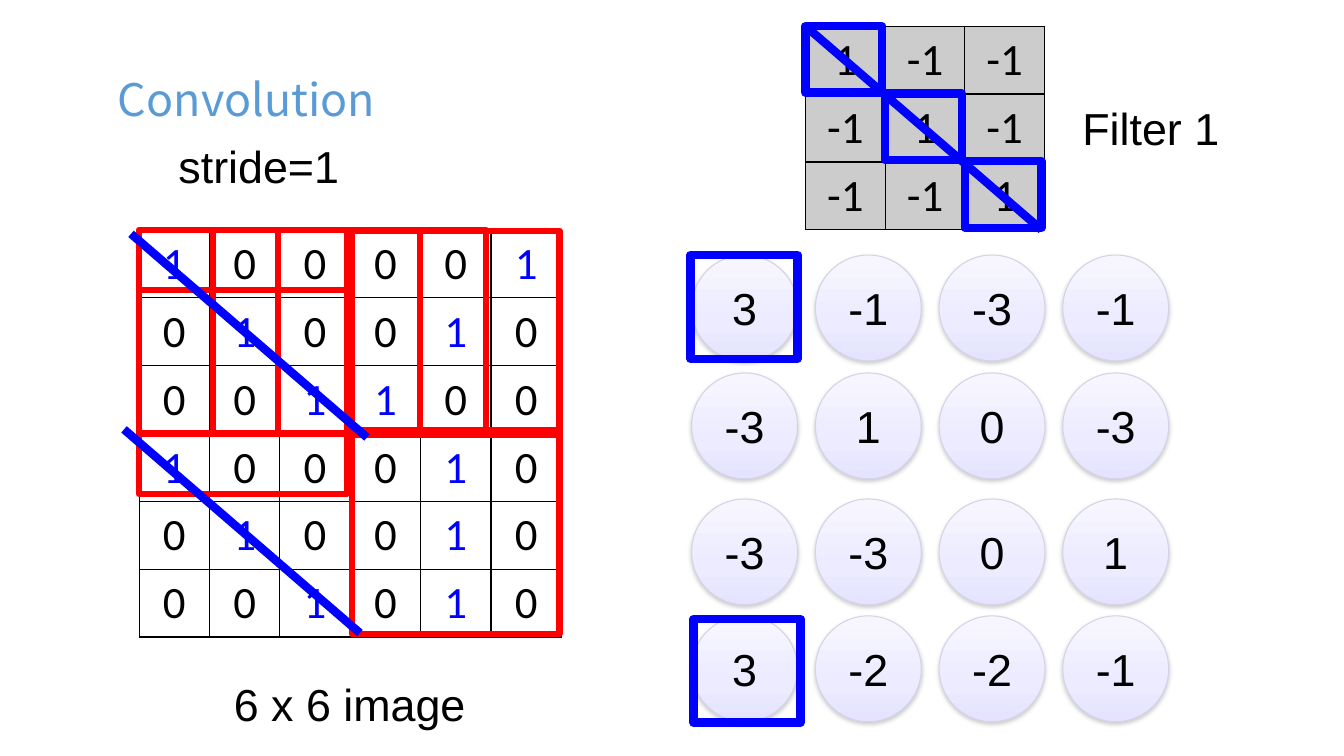
import copy

import lxml.etree
import pptx
import pptx.dml.color
import pptx.enum.shapes
import pptx.enum.text
import pptx.oxml.ns
import pptx.util

Inches = pptx.util.Inches
Pt = pptx.util.Pt
RGBColor = pptx.dml.color.RGBColor
SHAPE = pptx.enum.shapes.MSO_SHAPE
ALIGN = pptx.enum.text.PP_ALIGN
MIDDLE = pptx.enum.text.MSO_ANCHOR.MIDDLE
qn = pptx.oxml.ns.qn

BLACK = RGBColor(0x00, 0x00, 0x00)
BLUE = RGBColor(0x00, 0x00, 0xFF)
RED = RGBColor(0xFF, 0x00, 0x00)
GREY = RGBColor(0xCC, 0xCC, 0xCC)
TITLE_BLUE = RGBColor(0x5B, 0x9B, 0xD5)
CIRCLE_LINE = RGBColor(0xD4, 0xD3, 0xE7)
CIRCLE_STOPS = [
    (0, RGBColor(0xF7, 0xF6, 0xFF)),
    (0.65, RGBColor(0xEC, 0xEB, 0xFF)),
    (1, RGBColor(0xE5, 0xE3, 0xFF)),
]
SHADOW = RGBColor(0x80, 0x80, 0x80)

IMAGE = ["100001", "010010", "001100", "100010", "010010", "001010"]
FILTER = [[1, -1, -1], [-1, 1, -1], [-1, -1, 1]]
RESULT = [[3, -1, -3, -1], [-3, 1, 0, -3], [-3, -3, 0, 1], [3, -2, -2, -1]]


def write(tf, text, font="Arial", color=BLACK, align=ALIGN.CENTER, pad=0.07):
    tf.word_wrap = True
    tf.margin_left = tf.margin_right = Inches(0.13)
    tf.margin_top = tf.margin_bottom = Inches(pad)
    p = tf.paragraphs[0]
    p.text = text
    p.alignment = align
    p.font.size = Pt(32)
    p.font.name = font
    p.font.color.rgb = color


def add_label(slide, box, text, align=ALIGN.CENTER):
    tb = slide.shapes.add_textbox(*map(Inches, box))
    write(tb.text_frame, text, align=align)


def add_frame(slide, box, color, width):
    s = slide.shapes.add_shape(SHAPE.RECTANGLE, *map(Inches, box))
    s.shadow.inherit = False
    s.fill.background()
    s.line.color.rgb = color
    s.line.width = Pt(width)


def add_diagonal(slide, left, top, width=2.34, height=2.02):
    ends = (left, top, left + width, top + height)
    c = slide.shapes.add_connector(
        pptx.enum.shapes.MSO_CONNECTOR.STRAIGHT, *map(Inches, ends))
    c.line.color.rgb = BLUE
    c.line.width = Pt(6)
    lxml.etree.SubElement(c._element.spPr, qn("a:effectLst"))


def add_borders(cell):
    tcPr = cell._tc.get_or_add_tcPr()
    for i, side in enumerate(("a:lnL", "a:lnR", "a:lnT", "a:lnB")):
        ln = lxml.etree.Element(qn(side), w=str(Pt(1)))
        fill = lxml.etree.SubElement(ln, qn("a:solidFill"))
        lxml.etree.SubElement(fill, qn("a:srgbClr"), val=str(BLACK))
        tcPr.insert(i, ln)


def add_matrix(slide, box, values, fill=None, one_color=BLACK):
    frame = slide.shapes.add_table(
        len(values), len(values[0]), *map(Inches, box))
    table = frame.table
    table.first_row = table.horz_banding = False
    for r, row in enumerate(values):
        for c, value in enumerate(row):
            cell = table.cell(r, c)
            text = str(value)
            write(cell.text_frame, text, "Calibri",
                  one_color if text == "1" else BLACK)
            cell.margin_left = cell.margin_right = Inches(0.13)
            cell.margin_top = cell.margin_bottom = Inches(0.07)
            if fill is None:
                cell.fill.background()
            else:
                cell.fill.solid()
                cell.fill.fore_color.rgb = fill
            add_borders(cell)


def add_circle(slide, box, text):
    s = slide.shapes.add_shape(SHAPE.OVAL, *map(Inches, box))
    s.fill.gradient()
    s.fill.gradient_angle = 270
    stops = s._element.spPr.find(".//" + qn("a:gsLst"))
    stops.append(copy.deepcopy(stops[-1]))
    for stop, (position, color) in zip(s.fill.gradient_stops, CIRCLE_STOPS):
        stop.position = position
        stop.color.rgb = color
    s.line.color.rgb = CIRCLE_LINE
    s.line.width = Pt(0.75)
    s.shadow.inherit = False
    effects = s._element.spPr.find(qn("a:effectLst"))
    shadow = lxml.etree.SubElement(
        effects, qn("a:outerShdw"), blurRad=str(Pt(3.1)), dist=str(Pt(1.6)),
        dir="5400000", rotWithShape="0")
    clr = lxml.etree.SubElement(shadow, qn("a:srgbClr"), val=str(SHADOW))
    lxml.etree.SubElement(clr, qn("a:alpha"), val="38000")
    write(s.text_frame, text)
    s.text_frame.vertical_anchor = MIDDLE


def add_heading(slide, left, top):
    title = slide.shapes.title
    title.left, title.top = Inches(left), Inches(top)
    title.width, title.height = Inches(12.19), Inches(0.84)
    write(title.text_frame, "Convolution", "Noto Sans CJK TC", TITLE_BLUE,
          ALIGN.LEFT, 0.13)
    title.text_frame.vertical_anchor = MIDDLE
    add_label(slide, (left + 0.6, top + 0.75, 2.06, 0.67), "stride=1",
              ALIGN.LEFT)


def add_image(slide, left, top):
    add_matrix(slide, (left, top, 4.19, 4), IMAGE, one_color=BLUE)
    add_label(slide, (left + 0.38, top + 4.36, 3.42, 0.67), "6 x 6 image")
    windows = [(0, 0), (0.73, 0), (1.38, 0), (2.11, 0.01), (0, 0.6),
               (2.11, 1.99)]
    for dx, dy in windows:
        add_frame(slide, (left + dx, top + dy, 2.06, 2.02), RED, 4.5)
    add_diagonal(slide, left - 0.08, top + 0.04)
    add_diagonal(slide, left - 0.15, top + 1.98)


def add_filter(slide, left, top):
    add_matrix(slide, (left, top, 2.37, 2), FILTER, GREY)
    add_label(slide, (left + 2.37, top + 0.67, 2.11, 0.67), "Filter 1")
    for i in range(3):
        box = (left + 0.79 * i, top + 0.67 * i, 0.76, 0.66)
        add_frame(slide, box, BLUE, 6)
    add_diagonal(slide, left, top)


def add_result(slide, left, top):
    for dy, row in zip((0, 1.17, 2.42, 3.58), RESULT):
        for c, value in enumerate(row):
            box = (left + 1.227 * c, top + dy, 1.05, 1.05)
            add_circle(slide, box, str(value))
    for dx, dy in ((-0.01, 0), (0.02, 3.61)):
        add_frame(slide, (left + dx, top + dy, 1.06, 1.03), BLUE, 6)


def main():
    prs = pptx.Presentation()
    prs.slide_width, prs.slide_height = Inches(13.33), Inches(7.5)
    slide = prs.slides.add_slide(prs.slide_layouts[5])
    add_heading(slide, 1.04, 0.56)
    add_image(slide, 1.38, 2.28)
    add_filter(slide, 7.99, 0.26)
    add_result(slide, 6.86, 2.53)
    prs.save("out.pptx")


if __name__ == "__main__":
    main()
